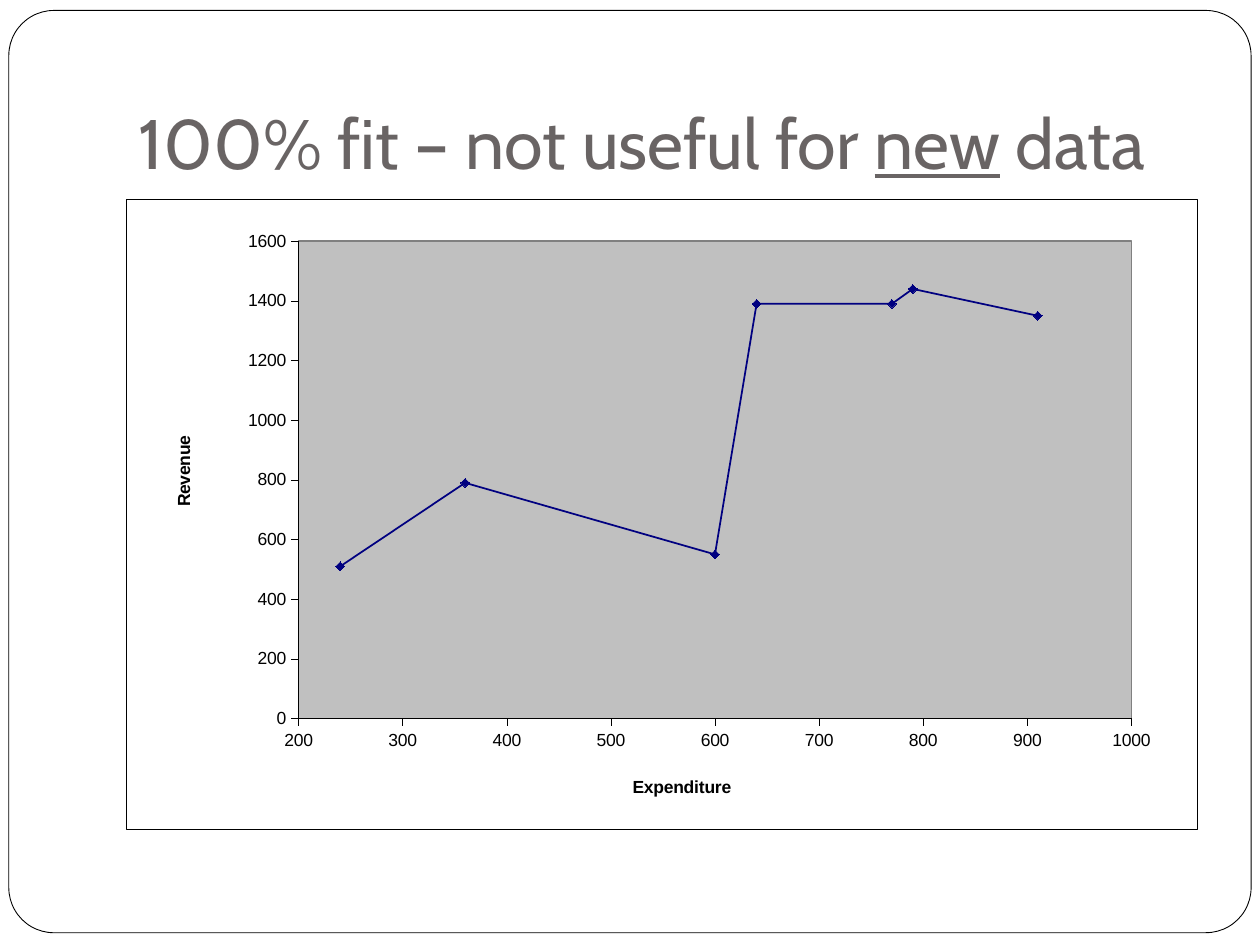
import dataclasses

import lxml.etree
import pptx
import pptx.chart.data
import pptx.dml.color
import pptx.enum.chart
import pptx.enum.shapes
import pptx.enum.text
import pptx.oxml
import pptx.oxml.ns
import pptx.util


@dataclasses.dataclass(frozen=True)
class Theme:
    """Colours, fonts and type sizes of the slide."""
    paper: str = "FFFFFF"
    ink: str = "000000"
    title: str = "696464"
    plot: str = "C0C0C0"
    plot_edge: str = "808080"
    curve: str = "000080"
    title_font: str = "Cabin"
    chart_font: str = "Arial"
    title_size: float = 40
    chart_size: float = 10
    hairline: float = 0.25
    frame_line: float = 0.5
    curve_line: float = 1


THEME = Theme()
WIDTH, HEIGHT = 10, 7.5
FRAME_BOX = (0.007, 0.011, 0.986, 0.976)
TITLE_BOX = (0.1, 0.04, 0.85, 0.167)
CHART_BOX = (0.1, 0.211, 0.85, 0.667)
EXPENDITURE = (240, 360, 600, 640, 770, 790, 910)
REVENUE = (510, 790, 550, 1390, 1390, 1440, 1350)


def place(box):
    """Turn shares of the slide into lengths."""
    return [pptx.util.Inches(share * side)
            for share, side in zip(box, (WIDTH, HEIGHT) * 2)]


def color(code):
    """Return the colour object for a hex code."""
    return pptx.dml.color.RGBColor.from_string(code)


def set_font(font, name, size, code):
    """Set family, size and colour of a font."""
    font.name, font.size = name, pptx.util.Pt(size)
    font.color.rgb = color(code)


def set_line(line, code, width):
    """Set colour and width of a line."""
    line.color.rgb = color(code)
    line.width = pptx.util.Pt(width)


def set_fill(fill, code):
    """Make a fill solid in one colour."""
    fill.solid()
    fill.fore_color.rgb = color(code)


def chart_area(fill, line, width):
    """Return shape properties for a chart region."""
    points = pptx.util.Pt(width)
    return pptx.oxml.parse_xml(
        f'<c:spPr {pptx.oxml.ns.nsdecls("c", "a")}>'
        f'<a:solidFill><a:srgbClr val="{fill}"/></a:solidFill>'
        f'<a:ln w="{points}"><a:solidFill><a:srgbClr val="{line}"/>'
        '</a:solidFill></a:ln></c:spPr>')


def manual_layout(left, top, size=None):
    """Return a chart layout given in shares of the chart."""
    values = {"xMode": "edge", "yMode": "edge", "x": left, "y": top}
    if size:
        values = {"layoutTarget": "inner", **values, "w": size[0], "h": size[1]}
    layout = pptx.oxml.parse_xml(f'<c:layout {pptx.oxml.ns.nsdecls("c")}/>')
    manual = lxml.etree.SubElement(layout, pptx.oxml.ns.qn("c:manualLayout"))
    for name, value in values.items():
        lxml.etree.SubElement(manual, pptx.oxml.ns.qn(f"c:{name}"), val=str(value))
    return layout


def add_frame(slide, box):
    """Draw the rounded border round the slide."""
    shape = slide.shapes.add_shape(
        pptx.enum.shapes.MSO_SHAPE.ROUNDED_RECTANGLE, *place(box))
    shape.adjustments[0] = 0.049
    shape.shadow.inherit = False
    set_fill(shape.fill, THEME.paper)
    set_line(shape.line, THEME.ink, THEME.frame_line)


def add_title(slide, box):
    """Write the heading with its underlined word."""
    text_frame = slide.shapes.add_textbox(*place(box)).text_frame
    text_frame.word_wrap = True
    text_frame.vertical_anchor = pptx.enum.text.MSO_ANCHOR.BOTTOM
    text_frame.margin_bottom = pptx.util.Inches(0.1)
    paragraph = text_frame.paragraphs[0]
    set_font(paragraph.font, THEME.title_font, THEME.title_size, THEME.title)
    for text in ("100% fit – not useful for ", "new", " data"):
        run = paragraph.add_run()
        run.text = text
        if text == "new":
            run.font.underline = True


def style_axis(axis, title, limits, step, corner):
    """Set scale, ticks, line and placed title of an axis."""
    axis.minimum_scale, axis.maximum_scale = limits
    axis.major_unit = step
    axis.has_major_gridlines = False
    axis.major_tick_mark = pptx.enum.chart.XL_TICK_MARK.OUTSIDE
    axis.minor_tick_mark = pptx.enum.chart.XL_TICK_MARK.NONE
    axis.tick_labels.number_format = "General"
    axis.tick_labels.number_format_is_linked = False
    set_font(axis.tick_labels.font, THEME.chart_font, THEME.chart_size, THEME.ink)
    set_line(axis.format.line, THEME.ink, THEME.hairline)
    paragraph = axis.axis_title.text_frame.paragraphs[0]
    paragraph.text = title
    set_font(paragraph.font, THEME.chart_font, THEME.chart_size, THEME.ink)
    paragraph.font.bold = True
    element = axis.axis_title._element
    for layout in element.findall(pptx.oxml.ns.qn("c:layout")):
        element.remove(layout)
    element.find(pptx.oxml.ns.qn("c:tx")).addnext(manual_layout(*corner))


def style_series(series):
    """Draw the curve and its diamond markers."""
    series.smooth = True
    set_line(series.format.line, THEME.curve, THEME.curve_line)
    series.marker.style = pptx.enum.chart.XL_MARKER_STYLE.DIAMOND
    series.marker.size = 5
    set_fill(series.marker.format.fill, THEME.curve)
    set_line(series.marker.format.line, THEME.curve, THEME.hairline)


def add_revenue_chart(slide, box):
    """Plot revenue against expenditure as a smooth curve."""
    data = pptx.chart.data.XyChartData()
    points = data.add_series("Series 1")
    for expenditure, revenue in zip(EXPENDITURE, REVENUE):
        points.add_data_point(expenditure, revenue)
    chart = slide.shapes.add_chart(
        pptx.enum.chart.XL_CHART_TYPE.XY_SCATTER_SMOOTH, *place(box), data).chart
    chart.has_title = False
    chart.has_legend = False
    set_font(chart.font, THEME.chart_font, THEME.chart_size, THEME.ink)
    chart.plots[0].vary_by_categories = False
    style_axis(chart.category_axis, "Expenditure", (200, 1000), 100, (0.47, 0.91))
    style_axis(chart.value_axis, "Revenue", (0, 1600), 200, (0.04, 0.37))
    style_series(chart.plots[0].series[0])
    chart_element = chart._chartSpace.find(pptx.oxml.ns.qn("c:chart"))
    chart_element.addnext(chart_area(THEME.paper, THEME.ink, THEME.hairline))
    plot_area = chart_element.find(pptx.oxml.ns.qn("c:plotArea"))
    for layout in plot_area.findall(pptx.oxml.ns.qn("c:layout")):
        plot_area.remove(layout)
    plot_area.insert(0, manual_layout(0.161, 0.066, (0.778, 0.758)))
    plot_area.append(chart_area(THEME.plot, THEME.plot_edge, THEME.curve_line))


def main():
    """Build and save the slide."""
    presentation = pptx.Presentation()
    presentation.slide_width = pptx.util.Inches(WIDTH)
    presentation.slide_height = pptx.util.Inches(HEIGHT)
    slide = presentation.slides.add_slide(presentation.slide_layouts[6])
    set_fill(slide.background.fill, THEME.paper)
    add_frame(slide, FRAME_BOX)
    add_title(slide, TITLE_BOX)
    add_revenue_chart(slide, CHART_BOX)
    presentation.save("out.pptx")


if __name__ == "__main__":
    main()
